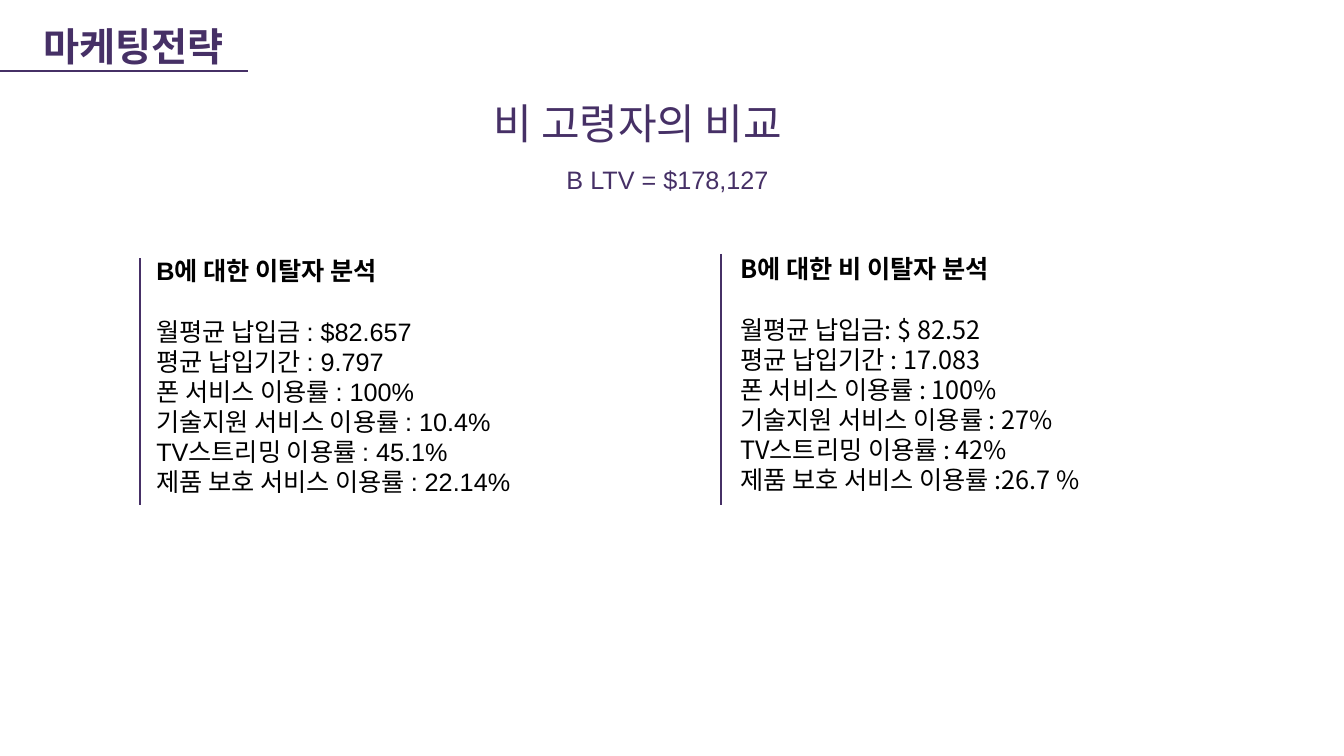
import pptx
import pptx.util
import pptx.dml.color
import pptx.enum.shapes
import pptx.enum.text
import pptx.oxml.ns
import lxml.etree

Inches = pptx.util.Inches
Pt = pptx.util.Pt
PURPLE = pptx.dml.color.RGBColor(0x46, 0x30, 0x66)
BLACK = pptx.dml.color.RGBColor(0, 0, 0)
KOREAN = "Noto Sans CJK KR"
LINE_PITCH = 1.19


def write(box, bounds, lines, size, font, color, bold_first=False):
    box.left, box.top, box.width, box.height = [Inches(v) for v in bounds]
    frame = box.text_frame
    frame.word_wrap = True
    frame.auto_size = pptx.enum.text.MSO_AUTO_SIZE.SHAPE_TO_FIT_TEXT
    frame.vertical_anchor = pptx.enum.text.MSO_ANCHOR.TOP
    for index, line in enumerate(lines):
        paragraph = frame.add_paragraph() if index else frame.paragraphs[0]
        paragraph.alignment = pptx.enum.text.PP_ALIGN.LEFT
        paragraph.line_spacing = Pt(round(size * LINE_PITCH, 1))
        paragraph.space_before = Pt(0)
        paragraph.space_after = Pt(22 if index == 0 and len(lines) > 1 else 0)
        properties = paragraph._p.get_or_add_pPr()
        properties.set("marL", "0")
        properties.set("indent", "0")
        lxml.etree.SubElement(properties, pptx.oxml.ns.qn("a:buNone"))
        run = paragraph.add_run()
        run.text = line
        run.font.size = Pt(size)
        run.font.name = font
        run.font.bold = bold_first and index == 0
        run.font.color.rgb = color
        east_asian = lxml.etree.SubElement(run._r.get_or_add_rPr(), pptx.oxml.ns.qn("a:ea"))
        east_asian.set("typeface", KOREAN)


presentation = pptx.Presentation()
presentation.slide_width = Inches(13.33)
presentation.slide_height = Inches(7.5)
slide = presentation.slides.add_slide(presentation.slide_layouts[3])
section, churned, retained = slide.placeholders

write(section, (0.33, 0.18, 2.61, 0.57), ["마케팅전략"], 28, KOREAN, PURPLE, True)

heading = slide.shapes.add_textbox(0, 0, 0, 0)
write(heading, (4.56, 0.92, 4.38, 0.61), ["비 고령자의 비교"], 30, "Arial", PURPLE)
heading.text_frame.margin_left = Inches(0.33)

lifetime_value = slide.shapes.add_textbox(0, 0, 0, 0)
write(lifetime_value, (5.52, 1.58, 2.29, 0.4), ["B LTV = $178,127"], 18, "Arial", PURPLE)

write(churned, (1.45, 2.49, 5.06, 2.52), [
    "B에 대한 이탈자 분석",
    "월평균 납입금 : $82.657",
    "평균 납입기간 : 9.797",
    "폰 서비스 이용률 : 100%",
    "기술지원 서비스 이용률 : 10.4%",
    "TV스트리밍 이용률 : 45.1%",
    "제품 보호 서비스 이용률 : 22.14%",
], 18, "Arial", BLACK, True)

write(retained, (7.24, 2.47, 4.76, 2.52), [
    "B에 대한 비 이탈자 분석",
    "월평균 납입금: $ 82.52",
    "평균 납입기간 : 17.083",
    "폰 서비스 이용률 : 100%",
    "기술지원 서비스 이용률 : 27%",
    "TV스트리밍 이용률 : 42%",
    "제품 보호 서비스 이용률 :26.7 %",
], 18, KOREAN, BLACK, True)

for ends in [(0, 0.7, 2.46, 0.7), (1.39, 2.56, 1.39, 5.01), (7.15, 2.52, 7.15, 5.01)]:
    rule = slide.shapes.add_connector(
        pptx.enum.shapes.MSO_CONNECTOR.STRAIGHT, *[Inches(v) for v in ends])
    rule.line.color.rgb = PURPLE
    rule.line.width = Pt(1.5)
    lxml.etree.SubElement(rule._element.spPr, pptx.oxml.ns.qn("a:effectLst"))

presentation.save("out.pptx")
